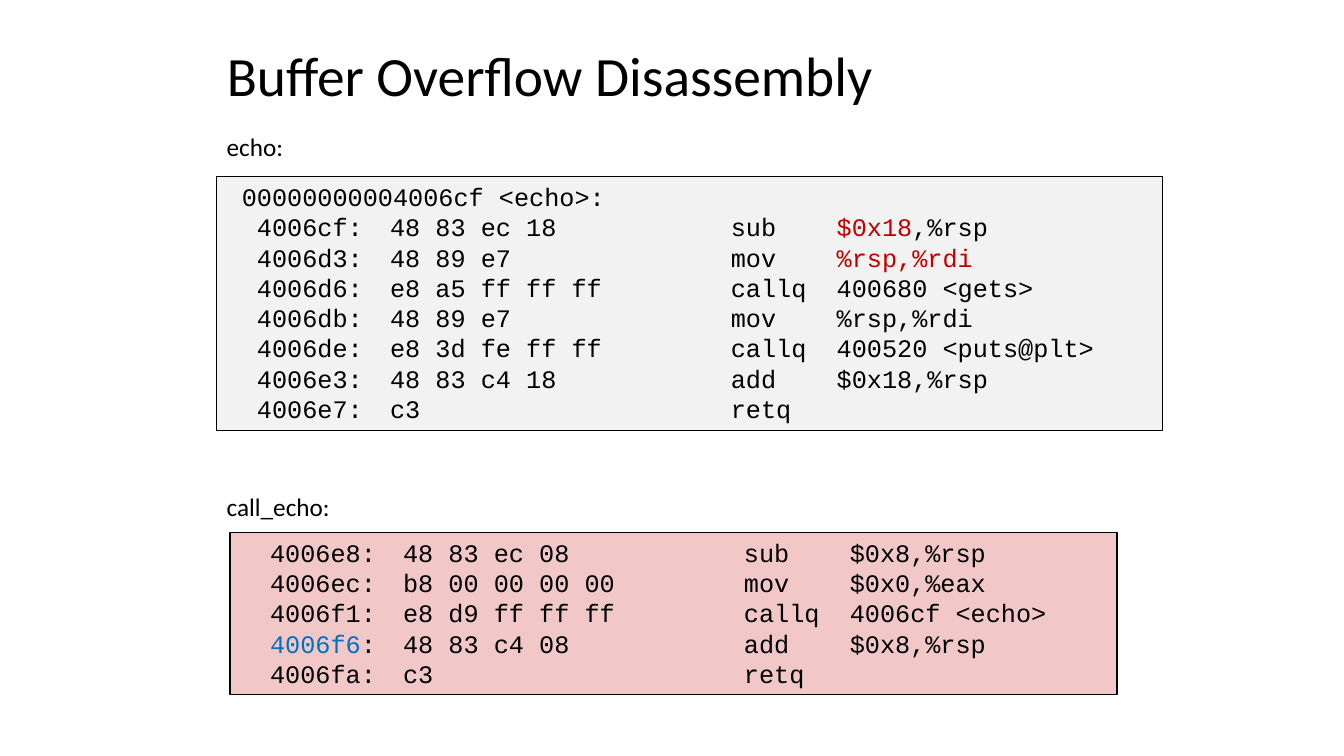
from lxml import etree
from pptx import Presentation
from pptx.dml.color import RGBColor
from pptx.enum.shapes import MSO_SHAPE
from pptx.enum.text import MSO_ANCHOR, MSO_AUTO_SIZE, PP_ALIGN
from pptx.oxml.ns import qn
from pptx.util import Inches, Pt

COLORS = {
    "text": "000000",
    "echo_fill": "F2F2F2",
    "caller_fill": "F1C7C7",
    "argument": "C00000",
    "return_address": "0070C0",
}
LABEL_LEFT = 2.15
# Columns for the instruction bytes, the mnemonic and the operands
COLUMN_STOPS = (1.62, 5, 6.05)

# Each line: code, then the accented part and its color where there is one
ECHO_LINES = [
    (" 00000000004006cf <echo>:",),
    ("  4006cf:\t48 83 ec 18\tsub\t$0x18,%rsp", "$0x18", "argument"),
    ("  4006d3:\t48 89 e7\tmov\t%rsp,%rdi", "%rsp,%rdi", "argument"),
    ("  4006d6:\te8 a5 ff ff ff\tcallq\t400680 <gets>",),
    ("  4006db:\t48 89 e7\tmov\t%rsp,%rdi",),
    ("  4006de:\te8 3d fe ff ff\tcallq\t400520 <puts@plt>",),
    ("  4006e3:\t48 83 c4 18\tadd\t$0x18,%rsp",),
    ("  4006e7:\tc3\tretq",),
]
CALLER_LINES = [
    ("  4006e8:\t48 83 ec 08\tsub\t$0x8,%rsp",),
    ("  4006ec:\tb8 00 00 00 00\tmov\t$0x0,%eax",),
    ("  4006f1:\te8 d9 ff ff ff\tcallq\t4006cf <echo>",),
    ("  4006f6:\t48 83 c4 08\tadd\t$0x8,%rsp", "4006f6", "return_address"),
    ("  4006fa:\tc3\tretq",),
]


def rgb(color):
    return RGBColor.from_string(COLORS[color])


def style_run(run, size=18, font="Calibri", color="text"):
    run.font.size = Pt(size)
    run.font.name = font
    run.font.color.rgb = rgb(color)


def set_title(slide, text):
    title = slide.shapes.title
    title.left, title.top = Inches(LABEL_LEFT), Inches(0.46)
    title.width, title.height = Inches(7.76), Inches(0.63)
    frame = title.text_frame
    frame.text = text
    frame.auto_size = MSO_AUTO_SIZE.NONE
    frame.vertical_anchor = MSO_ANCHOR.MIDDLE
    heading = frame.paragraphs[0]
    heading.alignment = PP_ALIGN.LEFT
    heading.line_spacing = 0.9
    style_run(heading.runs[0], size=39.6)


def add_label(slide, text, top, width):
    label = slide.shapes.add_textbox(
        Inches(LABEL_LEFT), Inches(top), Inches(width), Inches(0.4))
    frame = label.text_frame
    frame.text = text
    frame.word_wrap = False
    frame.auto_size = MSO_AUTO_SIZE.SHAPE_TO_FIT_TEXT
    style_run(frame.paragraphs[0].runs[0])


def add_column_stops(paragraph):
    stops = etree.SubElement(paragraph._p.get_or_add_pPr(), qn("a:tabLst"))
    for position in COLUMN_STOPS:
        etree.SubElement(stops, qn("a:tab"), pos=str(Inches(position)), algn="l")


def write_code_line(paragraph, code, accent="", accent_color="text"):
    paragraph.alignment = PP_ALIGN.LEFT
    add_column_stops(paragraph)
    before, accented, after = code.partition(accent) if accent else (code, "", "")
    for part, color in ((before, "text"), (accented, accent_color), (after, "text")):
        if part:
            run = paragraph.add_run()
            run.text = part
            style_run(run, font="Courier New", color=color)


def add_code_box(slide, lines, left, top, width, height, fill):
    box = slide.shapes.add_shape(
        MSO_SHAPE.RECTANGLE, Inches(left), Inches(top), Inches(width), Inches(height))
    box.shadow.inherit = False
    box.fill.solid()
    box.fill.fore_color.rgb = rgb(fill)
    box.line.color.rgb = rgb("text")
    box.line.width = Pt(1)
    frame = box.text_frame
    frame.word_wrap = True
    frame.auto_size = MSO_AUTO_SIZE.SHAPE_TO_FIT_TEXT
    frame.vertical_anchor = MSO_ANCHOR.TOP
    for index, line in enumerate(lines):
        paragraph = frame.add_paragraph() if index else frame.paragraphs[0]
        write_code_line(paragraph, *line)


def main():
    deck = Presentation()
    deck.slide_width, deck.slide_height = Inches(13.33), Inches(7.5)
    slide = deck.slides.add_slide(deck.slide_layouts.get_by_name("Title Only"))
    set_title(slide, "Buffer Overflow Disassembly")
    add_code_box(slide, ECHO_LINES, 2.15, 1.75, 9.38, 2.52, "echo_fill")
    add_code_box(slide, CALLER_LINES, 2.28, 5.28, 8.8, 1.61, "caller_fill")
    add_label(slide, "call_echo:", 4.83, 1.24)
    add_label(slide, "echo:", 1.25, 0.77)
    deck.save("out.pptx")


if __name__ == "__main__":
    main()
